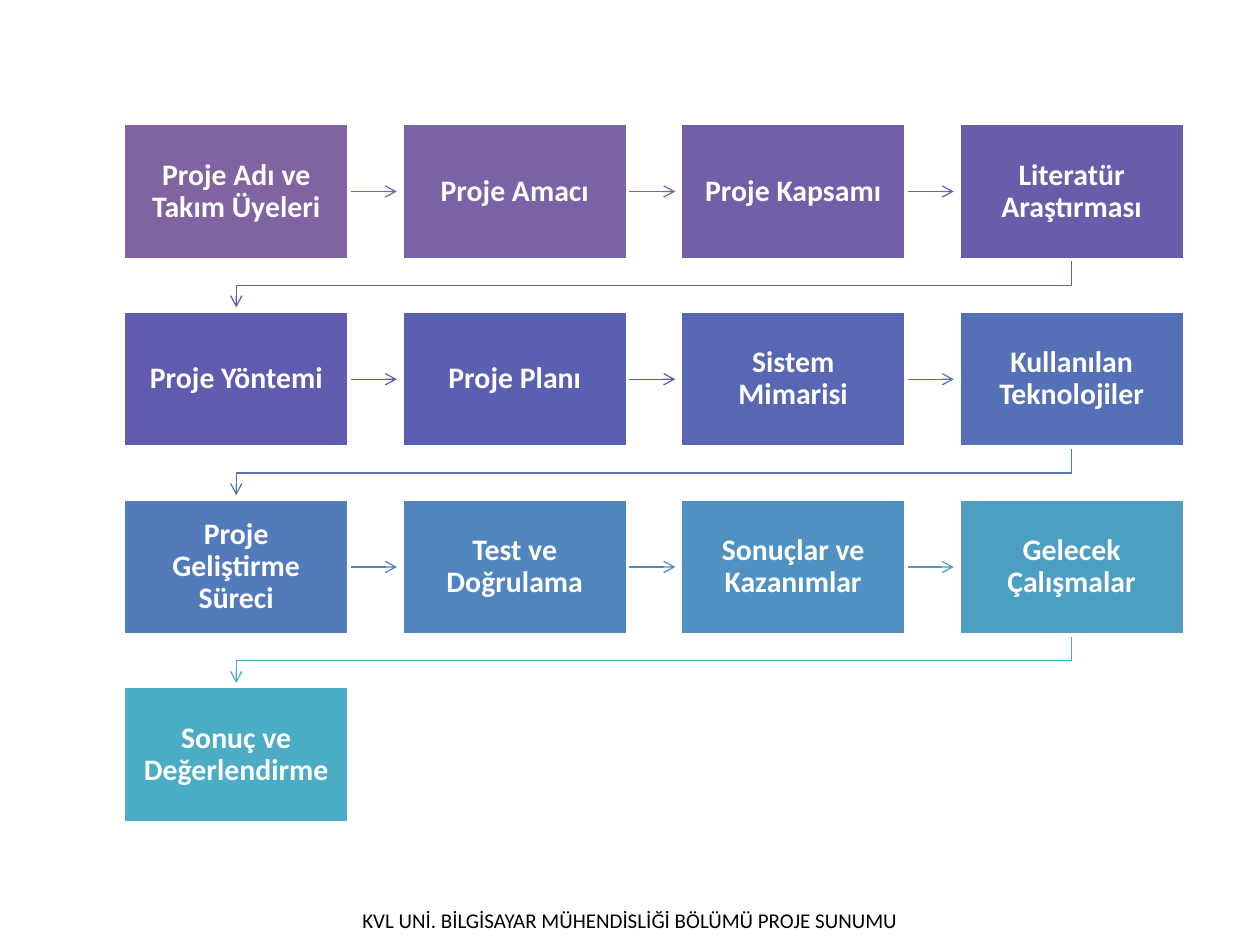
from colorsys import hls_to_rgb, rgb_to_hls
from dataclasses import dataclass

from lxml import etree
from pptx import Presentation
from pptx import util as u
from pptx.dml.color import RGBColor
from pptx.enum import shapes, text
from pptx.oxml import ns


@dataclass(frozen=True)
class Theme:
    """Colours, font and type sizes of the deck."""
    first: str = "8064A2"
    last: str = "4BACC6"
    light: str = "FFFFFF"
    dark: str = "000000"
    font: str = "Calibri"
    step_size: int = 17
    footer_size: int = 12


THEME = Theme()
STEPS = [
    "Proje Adı ve Takım Üyeleri", "Proje Amacı", "Proje Kapsamı", "Literatür Araştırması",
    "Proje Yöntemi", "Proje Planı", "Sistem Mimarisi", "Kullanılan Teknolojiler",
    "Proje Geliştirme Süreci", "Test ve Doğrulama", "Sonuçlar ve Kazanımlar",
    "Gelecek Çalışmalar", "Sonuç ve Değerlendirme",
]
FOOTER = "KVL UNİ. BİLGİSAYAR MÜHENDİSLİĞİ BÖLÜMÜ PROJE SUNUMU"
COLUMNS = 4
LEFT, TOP = 0.98, 0.98
WIDTH, HEIGHT = 1.79, 1.08
PITCH_X, PITCH_Y = 2.21, 1.49
ARROW = 0.38


def blend(share):
    """Return the colour at a share of the way from first to last in HLS space."""
    ends = [rgb_to_hls(*(part / 255 for part in RGBColor.from_string(name)))
            for name in (THEME.first, THEME.last)]
    mixed = [start + (end - start) * share for start, end in zip(*ends)]
    return RGBColor(*(round(part * 255) for part in hls_to_rgb(*mixed)))


def position(index):
    """Return the left and top of a step in the grid."""
    row, column = divmod(index, COLUMNS)
    return LEFT + column * PITCH_X, TOP + row * PITCH_Y


def write(shape, wording, size, color, bold=False):
    """Put one centred paragraph into a shape."""
    frame = shape.text_frame
    frame.word_wrap = True
    frame.vertical_anchor = text.MSO_ANCHOR.MIDDLE
    para = frame.paragraphs[0]
    para.text = wording
    para.alignment = text.PP_ALIGN.CENTER
    para.font.name = THEME.font
    para.font.size = u.Pt(size)
    para.font.bold = bold
    para.font.color.rgb = RGBColor.from_string(color)
    return frame


def add_step(page, index):
    """Add the box of one step."""
    left, top = position(index)
    box = page.shapes.add_shape(shapes.MSO_SHAPE.RECTANGLE, u.Inches(left), u.Inches(top),
                                u.Inches(WIDTH), u.Inches(HEIGHT))
    box.shadow.inherit = False
    box.fill.solid()
    box.fill.fore_color.rgb = blend(index / (len(STEPS) - 1))
    box.line.color.rgb = RGBColor.from_string(THEME.light)
    box.line.width = u.Pt(2)
    frame = write(box, STEPS[index], THEME.step_size, THEME.light, bold=True)
    frame.paragraphs[0].line_spacing = 0.9
    frame.margin_left = frame.margin_right = u.Inches(0.13)
    frame.margin_top = frame.margin_bottom = u.Inches(0.13)


def draw_straight(page, left, top):
    """Draw a line to the next column."""
    start, middle = left + WIDTH, top + HEIGHT / 2
    return page.shapes.add_connector(
        shapes.MSO_CONNECTOR.STRAIGHT, u.Inches(start), u.Inches(middle),
        u.Inches(start + ARROW), u.Inches(middle))


def draw_return(page, left, top):
    """Draw an elbow line to the start of the next row."""
    start, end = left + WIDTH / 2, LEFT + WIDTH / 2
    bottom = top + HEIGHT
    bend = bottom + (PITCH_Y - HEIGHT) / 2
    builder = page.shapes.build_freeform(u.Inches(start), u.Inches(bottom))
    corners = [(start, bend), (end, bend), (end, bottom + ARROW)]
    builder.add_line_segments([(u.Inches(x), u.Inches(y)) for x, y in corners], close=False)
    elbow = builder.convert_to_shape()
    elbow.fill.background()
    return elbow


def add_arrow(page, index):
    """Add the arrow that leaves one step."""
    ends_row = index % COLUMNS == COLUMNS - 1
    arrow = (draw_return if ends_row else draw_straight)(page, *position(index))
    arrow.line.color.rgb = blend(index / (len(STEPS) - 2))
    arrow.line.width = u.Pt(0.75)
    properties = arrow.line._get_or_add_ln()
    etree.SubElement(properties, ns.qn("a:tailEnd"), type="arrow")
    etree.SubElement(properties.getparent(), ns.qn("a:effectLst"))


def add_footer(page):
    """Add the line of text at the foot of the page."""
    box = page.shapes.add_textbox(u.Inches(1.85), u.Inches(7.1), u.Inches(6.3), u.Inches(0.4))
    write(box, FOOTER, THEME.footer_size, THEME.dark)


def main():
    """Build and save the deck."""
    deck = Presentation()
    deck.slide_width, deck.slide_height = u.Inches(10), u.Inches(7.5)
    page = deck.slides.add_slide(deck.slide_layouts[6])
    for index in range(len(STEPS)):
        if index < len(STEPS) - 1:
            add_arrow(page, index)
        add_step(page, index)
    add_footer(page)
    deck.save("out.pptx")


if __name__ == "__main__":
    main()
